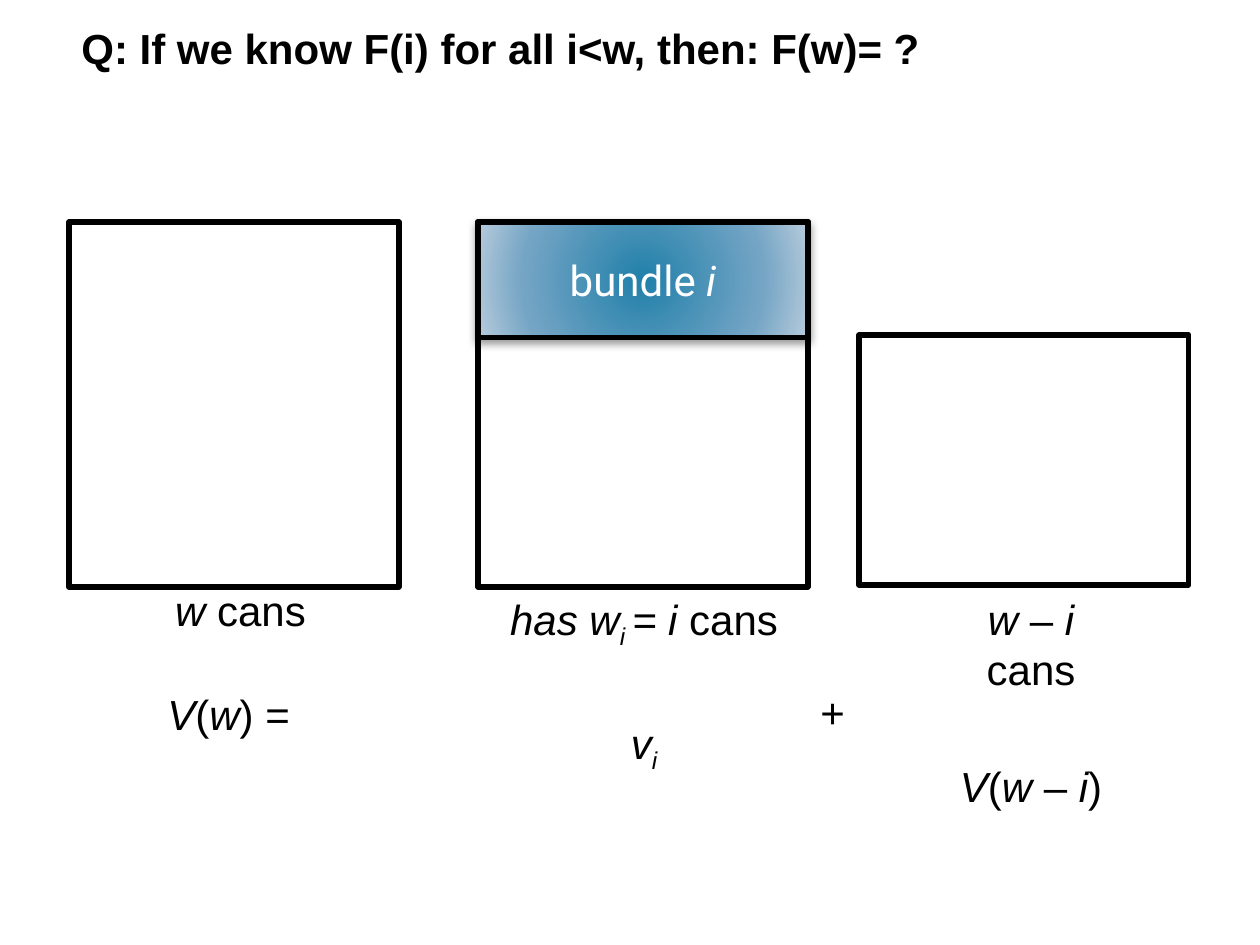
import pptx
import pptx.dml.color
import pptx.enum.shapes
import pptx.enum.text
import pptx.oxml
import pptx.oxml.ns
import pptx.util

PX_PER_INCH = 126
BLACK = pptx.dml.color.RGBColor(0x00, 0x00, 0x00)
WHITE = pptx.dml.color.RGBColor(0xFF, 0xFF, 0xFF)
CENTER_BLUE = pptx.dml.color.RGBColor(0x21, 0x80, 0xAA)
MID_BLUE = pptx.dml.color.RGBColor(0x75, 0xA5, 0xC5)
EDGE_BLUE = pptx.dml.color.RGBColor(0xB8, 0xCC, 0xDC)
CENTER = pptx.enum.text.PP_ALIGN.CENTER
NS = pptx.oxml.ns.nsdecls("a")


def px(length):
    return pptx.util.Emu(round(length * 914400 / PX_PER_INCH))


def add_text(paragraph, text, font="Arial", size=24, color=BLACK,
             bold=False, italic=False, subscript=False):
    run = paragraph.add_run()
    run.text = text
    run.font.name = font
    run.font.size = pptx.util.Pt(size)
    run.font.color.rgb = color
    run.font.bold = bold
    run.font.italic = italic
    if subscript:
        run.font._element.set("baseline", "-25000")


class SlideBuilder:
    """Holds the current slide and its shared style."""

    line_width = pptx.util.Pt(3)

    def __init__(self, slide):
        self.slide = slide

    def box(self, left, top, width, height):
        """Outlined, unfilled rectangle."""
        shape = self.slide.shapes.add_shape(
            pptx.enum.shapes.MSO_SHAPE.RECTANGLE,
            px(left), px(top), px(width), px(height))
        shape.shadow.inherit = False
        shape.fill.background()
        shape.line.color.rgb = BLACK
        shape.line.width = self.line_width
        shape.line._ln.append(pptx.oxml.parse_xml(f"<a:round {NS}/>"))
        return shape

    def bundle(self, left, top, width, height, runs):
        """Rectangle with a radial gradient, a soft shadow and a label."""
        shape = self.box(left, top, width, height)
        properties = shape._element.spPr
        stops = "".join(
            f'<a:gs pos="{position * 1000}"><a:srgbClr val="{color}"/></a:gs>'
            for position, color in ((0, CENTER_BLUE), (69, MID_BLUE), (100, EDGE_BLUE)))
        gradient = pptx.oxml.parse_xml(
            f'<a:gradFill {NS}><a:gsLst>{stops}</a:gsLst><a:path path="circle">'
            '<a:fillToRect l="100000" t="100000" r="100000" b="100000"/>'
            '</a:path></a:gradFill>')
        properties.replace(properties.find(pptx.oxml.ns.qn("a:noFill")), gradient)
        properties.find(pptx.oxml.ns.qn("a:effectLst")).append(pptx.oxml.parse_xml(
            f'<a:outerShdw {NS} blurRad="{pptx.util.Pt(5)}" dist="{pptx.util.Pt(2)}" '
            'dir="5400000" rotWithShape="0"><a:srgbClr val="000000">'
            '<a:alpha val="40000"/></a:srgbClr></a:outerShdw>'))
        shape.text_frame.vertical_anchor = pptx.enum.text.MSO_ANCHOR.MIDDLE
        paragraph = shape.text_frame.paragraphs[0]
        paragraph.alignment = CENTER
        for text, style in runs:
            add_text(paragraph, text, font="Roboto", color=WHITE, **style)

    def text(self, left, top, width, height, lines, align=None, gap=0):
        """Text box; gap is the space in points between its lines."""
        frame = self.slide.shapes.add_textbox(
            px(left), px(top), px(width), px(height)).text_frame
        frame.word_wrap = False
        for index, runs in enumerate(lines):
            paragraph = frame.add_paragraph() if index else frame.paragraphs[0]
            paragraph.alignment = align
            if index:
                paragraph.space_before = pptx.util.Pt(gap)
            for text, style in runs:
                add_text(paragraph, text, **style)


def main():
    presentation = pptx.Presentation()
    presentation.slide_width = px(1260)
    presentation.slide_height = px(945)
    builder = SlideBuilder(presentation.slides.add_slide(presentation.slide_layouts[6]))

    plain, italic, bold = {}, {"italic": True}, {"bold": True}
    sub = {"italic": True, "subscript": True}
    box_width, box_top, box_height = 330, 222, 365
    whole_left, split_left, rest_left = 69, 478, 859

    # Whole knapsack: w cans
    builder.box(whole_left, box_top, box_width, box_height)
    builder.text(150, 578, 169, 165, [
        [(" ", plain), ("w ", italic), ("cans", plain)],
        [("V", italic), ("(", plain), ("w", italic), (") = ", plain)],
    ], align=CENTER, gap=31)

    # Split knapsack: bundle i on top
    builder.box(split_left, box_top, box_width, box_height)
    builder.text(491, 587, 306, 175, [
        [("has w", italic), ("i ", sub), ("= i ", italic), ("cans", plain)],
        [("v", italic), ("i", sub)],
    ], align=CENTER, gap=38)
    builder.bundle(split_left, box_top, box_width, 116,
                   [("bundle ", plain), ("i", italic)])

    # Remaining cans: w – i
    builder.box(rest_left, 335, box_width, 250)
    builder.text(926, 587, 210, 175, [
        [("w", italic), (" – ", plain), ("i ", italic), ("cans", plain)],
        [("V", italic), ("(", plain), ("w", italic), (" – ", plain),
         ("i", italic), (")", plain)],
    ], align=CENTER, gap=38)

    # Plus sign and question
    builder.text(808, 680, 52, 63, [[("+", plain)]])
    builder.text(69, 16, 876, 115,
                 [[("Q: If we know F(i) for all i<w, then: F(w)= ?", bold)]])

    presentation.save("out.pptx")


if __name__ == "__main__":
    main()
